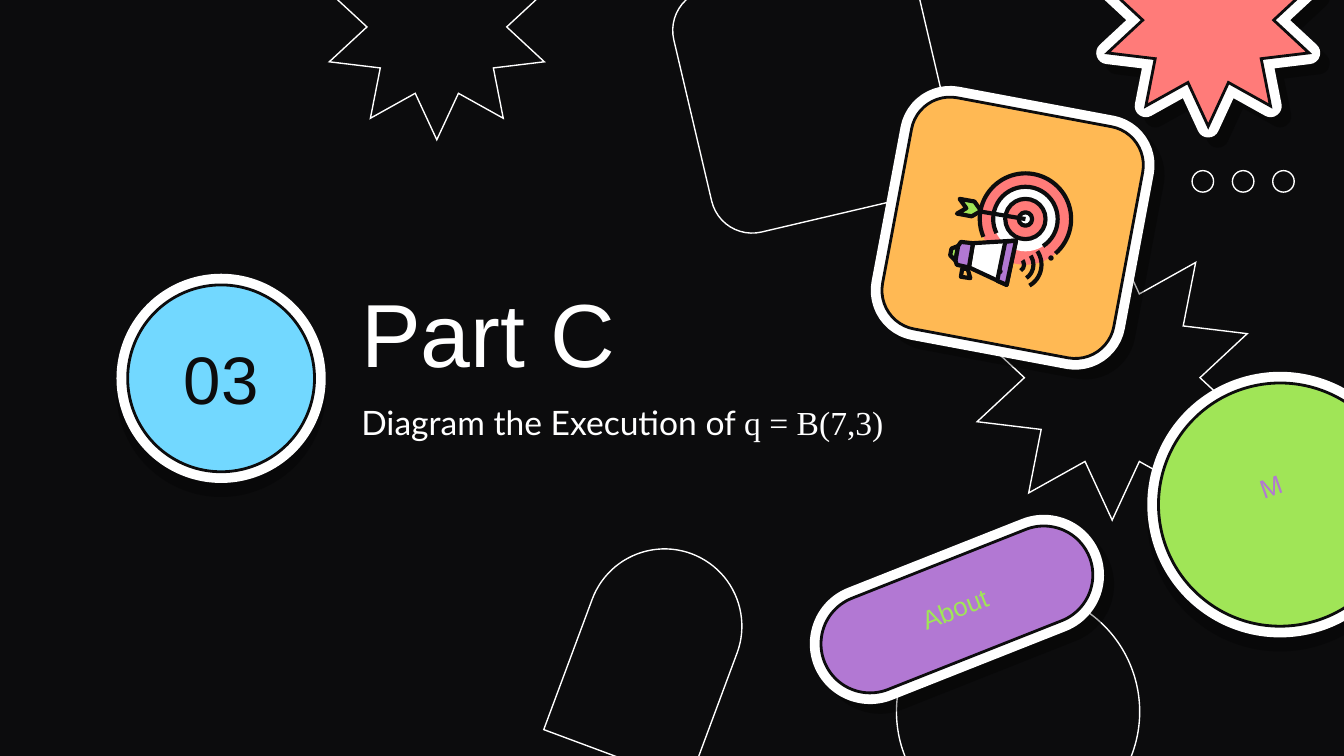
"""Build the "Part C" section slide with sticker shapes and a marketing icon."""
from dataclasses import dataclass

from lxml.etree import SubElement
from pptx import Presentation
from pptx.dml.color import RGBColor
from pptx.enum.shapes import MSO_CONNECTOR, MSO_SHAPE
from pptx.enum.text import MSO_ANCHOR, PP_ALIGN
from pptx.oxml.ns import qn
from pptx.util import Inches, Pt


@dataclass(frozen=True)
class Theme:
    ink: str = "0C0C0D"
    white: str = "FFFFFF"
    shadow: str = "000000"
    blue: str = "72D8FF"
    green: str = "A0E557"
    purple: str = "B278D3"
    coral: str = "FF7B79"
    orange: str = "FFB954"
    font: str = "Arial"
    body_font: str = "Lato"
    formula_font: str = "Times New Roman"
    title: int = 48
    number: int = 36
    subtitle: int = 18
    label: int = 14
    thin: float = 0.75
    edge: float = 1.5
    stroke: float = 2.25
    border: float = 12


THEME = Theme()


def style(sp, fill=None, line=None, width=THEME.thin, join="miter"):
    sp.shadow.inherit = False
    if fill:
        sp.fill.solid()
        sp.fill.fore_color.rgb = RGBColor.from_string(fill)
    else:
        sp.fill.background()
    if line:
        sp.line.color.rgb = RGBColor.from_string(line)
        sp.line.width = Pt(width)
        ln = sp._element.spPr.find(qn("a:ln"))
        SubElement(ln, qn(f"a:{join}"), {"lim": "800000"} if join == "miter" else {})
    else:
        sp.line.fill.background()
    return sp


def add_preset(shapes, kind, box, rotation=0, adj=(), **look):
    sp = shapes.add_shape(kind, *map(Inches, box))
    sp.rotation = rotation
    for i, value in enumerate(adj):
        sp.adjustments[i] = value
    return style(sp, **look)


def add_shadow(sp, opacity, angle):
    effects = sp._element.spPr.find(qn("a:effectLst"))
    shadow = SubElement(effects, qn("a:outerShdw"), blurRad="0", dist=str(Pt(7.5)),
                        dir=str(angle * 60000), algn="bl", rotWithShape="0")
    color = SubElement(shadow, qn("a:srgbClr"), val=THEME.shadow)
    SubElement(color, qn("a:alpha"), val=str(opacity * 1000))


def add_sticker(slide, kind, box, fill, rotation=0, adj=(), shadow=(31, 44)):
    shapes = slide.shapes.add_group_shape().shapes
    backing = add_preset(shapes, kind, box, rotation, adj, fill=THEME.white,
                         line=THEME.white, width=THEME.border, join="round")
    add_shadow(backing, *shadow)
    add_preset(shapes, kind, box, rotation, adj, fill=fill, line=THEME.ink, width=THEME.edge)
    return shapes


def add_text(shapes, box, runs, size, color, align=PP_ALIGN.LEFT,
             anchor=MSO_ANCHOR.TOP, rotation=0, inset=0.1):
    tb = shapes.add_textbox(*map(Inches, box))
    tb.rotation = rotation
    tf = tb.text_frame
    tf.word_wrap = True
    tf.vertical_anchor = anchor
    tf.margin_left = tf.margin_right = Inches(0.1)
    tf.margin_top = tf.margin_bottom = Inches(inset)
    p = tf.paragraphs[0]
    p.alignment = align
    p.font.size = Pt(size)
    p.font.color.rgb = RGBColor.from_string(color)
    for text, font in runs:
        r = p.add_run()
        r.text = text
        r.font.name = font


def add_label(shapes, box, text, color, rotation):
    add_text(shapes, box, [(text, THEME.font)], THEME.label, color,
             PP_ALIGN.CENTER, rotation=rotation, inset=0.05)


def square_around(x, y, radius):
    return x - radius, y - radius, 2 * radius, 2 * radius


def add_disc(shapes, x, y, radius, fill):
    add_preset(shapes, MSO_SHAPE.OVAL, square_around(x, y, radius), fill=fill)


def add_arc(shapes, x, y, radius, start, end):
    add_preset(shapes, MSO_SHAPE.ARC, square_around(x, y, radius),
               adj=(start * 0.6, end * 0.6), line=THEME.ink, width=THEME.stroke, join="round")


def add_polygon(shapes, points, fill):
    (x, y), *rest = [(Inches(px), Inches(py)) for px, py in points]
    builder = shapes.build_freeform(x, y)
    builder.add_line_segments(rest, close=True)
    style(builder.convert_to_shape(), fill, THEME.ink, THEME.stroke, "round")


def add_stroke(shapes, start, end):
    line = shapes.add_connector(MSO_CONNECTOR.STRAIGHT, *map(Inches, start + end))
    line.line.color.rgb = RGBColor.from_string(THEME.ink)
    line.line.width = Pt(THEME.stroke)
    SubElement(line._element.spPr, qn("a:effectLst"))


def add_target(shapes, x, y):
    for radius, fill in ((0.34, THEME.coral), (0.24, THEME.white),
                         (0.15, THEME.coral), (0.05, THEME.white)):
        add_disc(shapes, x, y, radius, fill)
    for radius, start, end in ((0.34, 157, 49), (0.24, 154, 57), (0.15, 0, 359.9), (0.05, 0, 359.9)):
        add_arc(shapes, x, y, radius, start, end)
    add_stroke(shapes, (7.27, 1.57), (x, y))
    add_polygon(shapes, [(7.14, 1.48), (7.25, 1.5), (7.3, 1.57), (7.23, 1.61),
                         (7.12, 1.59), (7.19, 1.55)], THEME.green)


def add_megaphone(shapes):
    parts = (
        ([(7.16, 2), (7.2, 2), (7.22, 2.07), (7.15, 2.06)], THEME.orange),
        ([(7.13, 1.83), (7.08, 1.85), (7.07, 1.9), (7.11, 1.94)], THEME.green),
        ([(7.56, 1.79), (7.24, 1.81), (7.21, 1.99), (7.49, 2.12)], THEME.white),
        ([(7.56, 1.79), (7.48, 1.8), (7.42, 2.09), (7.49, 2.12)], THEME.purple),
        ([(7.15, 1.8), (7.24, 1.81), (7.21, 1.99), (7.12, 1.97), (7.11, 1.94), (7.13, 1.83)],
         THEME.purple),
    )
    for points, fill in parts:
        add_polygon(shapes, points, fill)
    for radius, start, end in ((0.18, 326, 60), (0.12, 326, 56), (0.05, 320, 60)):
        add_arc(shapes, 7.57, 1.97, radius, start, end)
    for x, y in ((7.82, 1.92), (7.44, 2.02)):
        add_disc(shapes, x, y, 0.02, THEME.ink)


def add_outline(shapes, kind, box, rotation=0, adj=()):
    add_preset(shapes, kind, box, rotation, adj, line=THEME.white)


def main():
    prs = Presentation()
    prs.slide_width, prs.slide_height = Inches(10), Inches(10 * 9 / 16)
    slide = prs.slides.add_slide(prs.slide_layouts[6])
    slide.background.fill.solid()
    slide.background.fill.fore_color.rgb = RGBColor.from_string(THEME.ink)
    shapes = slide.shapes
    star, star_adj = MSO_SHAPE.STAR_10_POINT, (0.309,)

    add_sticker(slide, MSO_SHAPE.OVAL, (0.95, 2.12, 1.39, 1.39), THEME.blue, shadow=(29, 90))
    add_text(shapes, (2.59, 1.96, 3.84, 1.01), [("Part C", THEME.font)],
             THEME.title, THEME.white, anchor=MSO_ANCHOR.BOTTOM)
    add_text(shapes, (1.08, 2.42, 1.13, 0.78), [("03", THEME.font)],
             THEME.number, THEME.ink, PP_ALIGN.CENTER, MSO_ANCHOR.MIDDLE)
    add_text(shapes, (2.59, 2.89, 4.33, 0.78),
             [("Diagram the Execution of ", THEME.body_font), ("q = B(7,3)", THEME.formula_font)],
             THEME.subtitle, THEME.white)

    add_outline(shapes, star, (7.27, 1.75, 2.01, 2.12), 180, star_adj)
    add_outline(shapes, MSO_SHAPE.OVAL, (6.67, 4.39, 1.81, 1.81), 199.6)
    add_outline(shapes, MSO_SHAPE.ROUNDED_RECTANGLE, (5.13, -0.24, 1.85, 1.85), 166.8)

    badge = add_sticker(slide, MSO_SHAPE.OVAL, (8.62, 2.85, 1.81, 1.81), THEME.green, 340.4, shadow=(29, 90))
    add_label(badge, (9.07, 3.44, 0.87, 0.63), "M", THEME.purple, 340.4)
    pill = add_sticker(slide, MSO_SHAPE.ROUNDED_RECTANGLE, (6.06, 4.17, 2.12, 0.73),
                       THEME.purple, 338.4, (0.5,))
    add_label(pill, (6.32, 4.36, 1.57, 0.34), "About", THEME.green, 338.4)
    add_sticker(slide, star, (8.24, -0.64, 1.5, 1.58), THEME.coral, adj=star_adj, shadow=(31, 47))

    dots = shapes.add_group_shape().shapes
    for i in range(3):
        add_outline(dots, MSO_SHAPE.OVAL, (8.87 + 0.3 * i, 1.27, 0.16, 0.16))
    add_outline(shapes, MSO_SHAPE.ROUND_2_SAME_RECTANGLE, (4.29, 4.07, 1.15, 1.61), 20.4, (0.5, 0))
    add_outline(shapes, star, (2.45, -0.64, 1.6, 1.68), 180, star_adj)

    tile = add_sticker(slide, MSO_SHAPE.ROUNDED_RECTANGLE, (6.66, 0.82, 1.75, 1.75), THEME.orange, 10.6)
    add_target(tile, 7.63, 1.63)
    add_megaphone(tile)
    prs.save("out.pptx")


if __name__ == "__main__":
    main()
